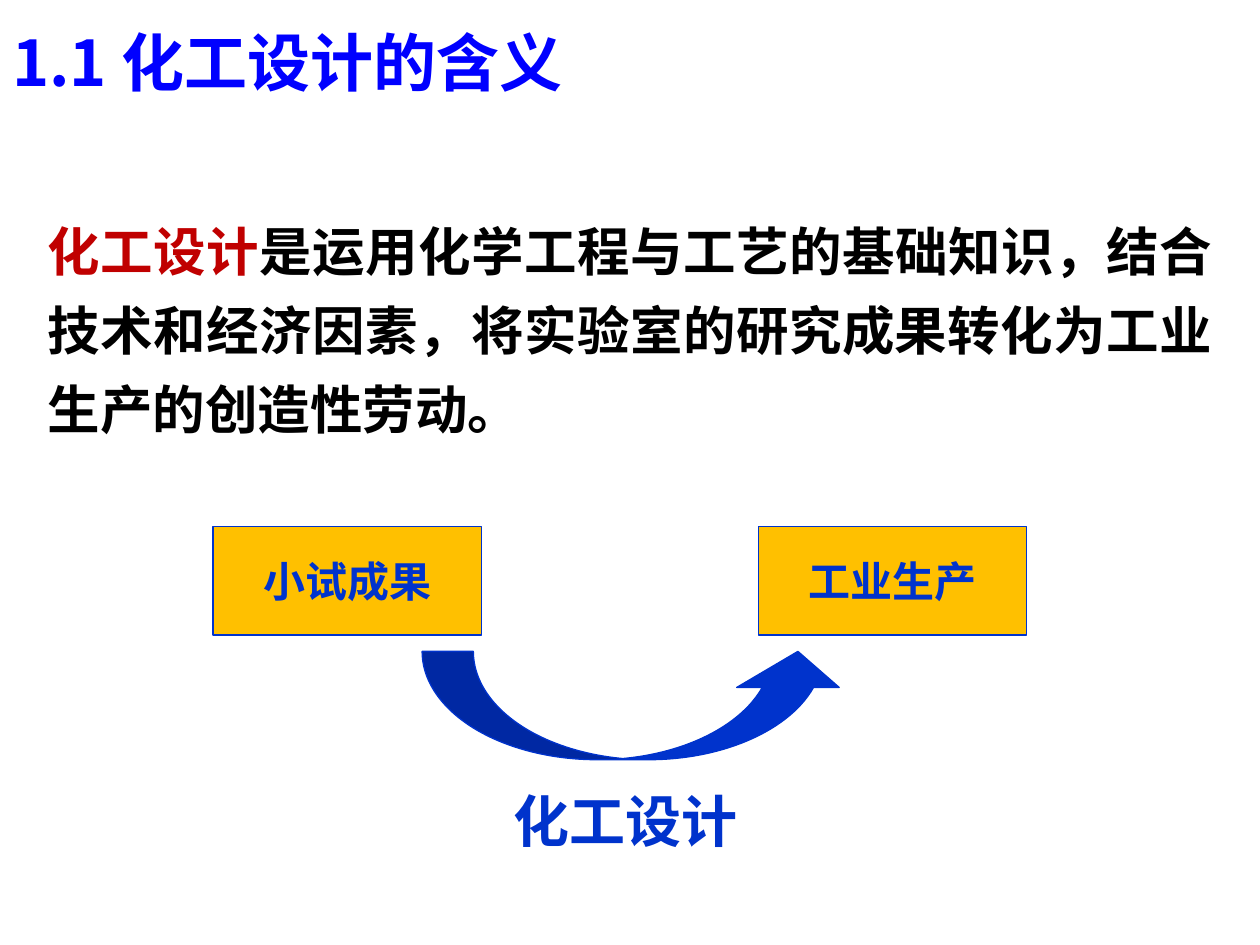
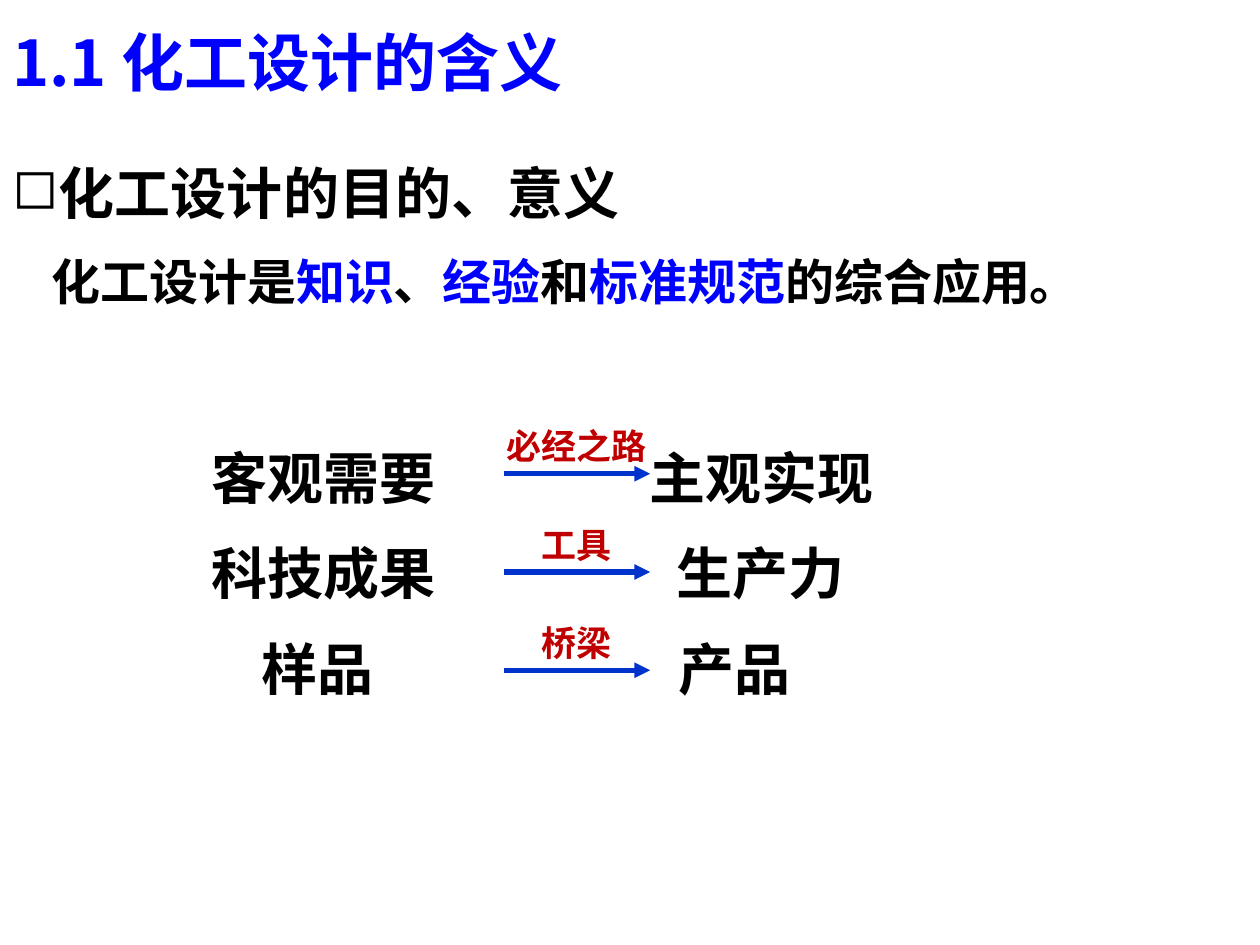
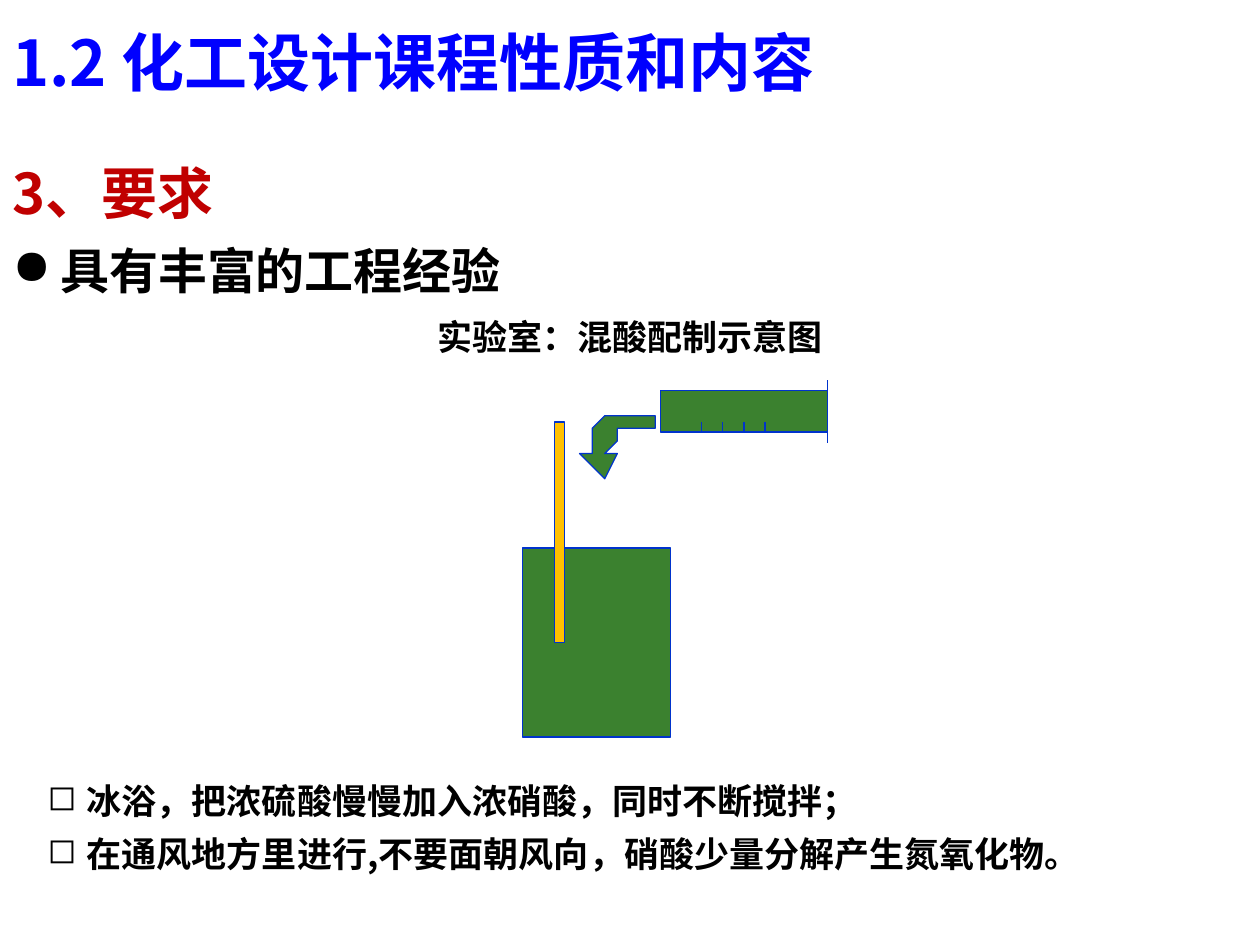
import pptx
import pptx.util
import pptx.dml.color
import pptx.enum.shapes
import pptx.enum.text
import pptx.oxml.xmlchemy

Pt = pptx.util.Pt
RGB = pptx.dml.color.RGBColor
KIND = pptx.enum.shapes.MSO_SHAPE
LINE = pptx.enum.shapes.MSO_CONNECTOR.STRAIGHT
ALIGN = pptx.enum.text.PP_ALIGN
MIDDLE = pptx.enum.text.MSO_ANCHOR.MIDDLE
NODE = pptx.oxml.xmlchemy.OxmlElement

# Shared style
FONT = "Noto Sans CJK SC"
BLACK = RGB(0, 0, 0)
BLUE = RGB(0, 0, 255)
NAVY = RGB(0, 0x33, 0xCC)
RED = RGB(0xC0, 0, 0)
GOLD = RGB(0xFF, 0xC0, 0)
GREEN = RGB(0x3B, 0x81, 0x2F)
TIGHT, LOOSE = 1.21, 1.51  # line pitch as a share of the text size

deck = pptx.Presentation()
deck.slide_width = pptx.util.Inches(10)
deck.slide_height = pptx.util.Inches(7.5)
UNIT = deck.slide_width // 100  # grid of 100 columns by 75 rows


def add(slide, place, kind=None, fill=None, pen=0.75):
    """Put a text box, a line or a filled shape on the grid."""
    x, y, w, h = [round(n * UNIT) for n in place]
    if kind is None:
        item = slide.shapes.add_textbox(x, y, w, h)
        item.text_frame.word_wrap = True
        return item.text_frame
    if kind is LINE:
        item = slide.shapes.add_connector(LINE, x, y, x + w, y + h)
        item._element.spPr.append(NODE("a:effectLst"))
    else:
        item = slide.shapes.add_shape(kind, x, y, w, h)
        item.shadow.inherit = False
        item.fill.solid()
        item.fill.fore_color.rgb = fill
    item.line.color.rgb = NAVY
    item.line.width = Pt(pen)
    return item


def text(frame, runs, size=20, color=BLACK, align=ALIGN.LEFT, pitch=TIGHT,
         before=0, left=0, bullet=None, tabs=()):
    """Write one paragraph; runs is a string or (string, colour) pairs."""
    para = frame.paragraphs[0]
    if para.runs:
        para = frame.add_paragraph()
        para.space_before = Pt(before)
    para.alignment = align
    if pitch:
        para.line_spacing = Pt(round(size * pitch, 1))
    props = para._p.get_or_add_pPr()
    if left:
        props.set("marL", str(round(left * UNIT)))
    if bullet:
        props.set("indent", str(-round(left * UNIT)))
        mark = NODE("a:buChar")
        mark.set("char", bullet)
        props.append(mark)
    if tabs:
        stops = NODE("a:tabLst")
        for spot in tabs:
            stop = NODE("a:tab")
            stop.set("pos", str(round(spot * UNIT)))
            stop.set("algn", "l")
            stops.append(stop)
        props.append(stops)
    for words, ink in [(runs, color)] if isinstance(runs, str) else runs:
        run = para.add_run()
        run.text = words
        run.font.size = Pt(size)
        run.font.bold = True
        run.font.color.rgb = ink
        run.font.name = FONT
        east = NODE("a:ea")
        east.set("typeface", FONT)
        run._r.get_or_add_rPr().append(east)


# Slides and their titles
pages = []
for title in ("1.1 化工设计的含义", "1.1 化工设计的含义", "1.2 化工设计课程性质和内容"):
    page = deck.slides.add_slide(deck.slide_layouts[6])
    text(add(page, (0, 1.3, 100, 7.9)), title, size=36, color=BLUE)
    pages.append(page)
sense, aim, course = pages

# Slide 1: definition
text(add(sense, (2.8, 15.6, 94.5, 22)),
     [("化工设计", RED),
      ("是运用化学工程与工艺的基础知识，结合技术和经济因素，"
       "将实验室的研究成果转化为工业生产的创造性劳动。", BLACK)],
     size=30, align=ALIGN.JUSTIFY, pitch=LOOSE)

# Slide 1: from trial to production
swoop = add(sense, (33.5, 51.7, 33.9, 8.6), KIND.CURVED_UP_ARROW, NAVY)
for i, share in enumerate((0.473, 0.947, 0.333)):
    swoop.adjustments[i] = share
for x, label in ((16.9, "小试成果"), (60.2, "工业生产")):
    frame = add(sense, (x, 41.8, 21.3, 8.6), KIND.RECTANGLE, GOLD).text_frame
    frame.word_wrap = False
    frame.vertical_anchor = MIDDLE
    text(frame, label, size=24, color=NAVY, align=ALIGN.CENTER, pitch=None)
text(add(sense, (39.8, 61.9, 21.3, 6.3)), "化工设计", size=32, color=NAVY)

# Slide 2: purpose
frame = add(aim, (0, 10.7, 98.8, 13.8))
text(frame, "化工设计的目的、意义", size=32, align=ALIGN.JUSTIFY, pitch=LOOSE,
     left=2.8, bullet="◻")
text(frame, [("化工设计是", BLACK), ("知识", BLUE), ("、", BLACK),
             ("经验", BLUE), ("和", BLACK), ("标准规范", BLUE),
             ("的综合应用。", BLACK)],
     size=28, pitch=1.73, left=3.1)

# Slide 2: three pairs joined by arrows
frame = add(aim, (15.8, 33.3, 65.8, 26.9))
for pair, tabs in (("客观需要\t主观实现", [34.8]),
                   ("科技成果\t生产力", [36.9]),
                   ("\t样品\t产品", [4, 37.1])):
    text(frame, pair, size=32, pitch=LOOSE, before=6.4, tabs=tabs)
for i, label in enumerate(("必经之路", "工具", "桥梁")):
    y = 37.6 + 7.8 * i
    arrow = add(aim, (40, y, 11.6, 0), LINE, pen=3)
    tip = NODE("a:tailEnd")
    tip.set("type", "triangle")
    arrow.line._get_or_add_ln().append(tip)
    text(add(aim, (39, y - 4.4, 13.5, 4.4)), label, color=RED,
         align=ALIGN.CENTER)

# Slide 3: demand
frame = add(course, (0, 10.7, 98.8, 14.2))
text(frame, "3、要求", size=32, color=RED, align=ALIGN.JUSTIFY, pitch=LOOSE)
text(frame, "具有丰富的工程经验", size=28, align=ALIGN.JUSTIFY, pitch=LOOSE,
     left=3.8, bullet="●")
text(add(course, (0, 24.5, 100, 4.4)), "实验室：混酸配制示意图",
     align=ALIGN.CENTER)

# Slide 3: beaker, measuring tube with its scale, stirring rod
add(course, (41.5, 43.5, 11.7, 15), KIND.RECTANGLE, GREEN)
add(course, (52.4, 31, 13.3, 3.3), KIND.RECTANGLE, GREEN)
add(course, (65.7, 30.2, 0, 5), LINE)
for i in range(4):
    add(course, (55.7 + 1.67 * i, 33.5, 0, 0.8), LINE)
add(course, (44, 33.5, 0.8, 17.5), KIND.RECTANGLE, GOLD)

# Slide 3: bent arrow of pouring acid, its bends sampled from Bezier curves
outer = ((46.6, 35.5), (46.6, 33.9), (47.9, 32.7), (49.4, 32.7))
inner = ((49.4, 34.2), (49, 34.2), (48.5, 34.8), (48.5, 35.5))
bends = []
for curve in (outer, inner):
    bend = []
    for step in range(13):
        t = step / 12
        shares = ((1 - t) ** 3, 3 * t * (1 - t) ** 2, 3 * t * t * (1 - t), t ** 3)
        bend.append(tuple(sum(s * p[axis] for s, p in zip(shares, curve))
                          for axis in (0, 1)))
    bends.append(bend)
spots = [(45.7, 36.2), (46.6, 36.2), *bends[0], (52.4, 32.7), (52.4, 34.2),
         *bends[1], (48.5, 36.2), (49.4, 36.2)]
build = course.shapes.build_freeform(47.6, 37.7, scale=UNIT)
build.add_line_segments(spots, close=True)
flow = build.convert_to_shape()
flow.shadow.inherit = False
flow.fill.solid()
flow.fill.fore_color.rgb = GREEN
flow.line.color.rgb = NAVY
flow.line.width = Pt(0.75)

# Slide 3: notes on safety
frame = add(course, (2.8, 60.5, 94.5, 9))
for note in ("冰浴，把浓硫酸慢慢加入浓硝酸，同时不断搅拌；",
             "在通风地方里进行,不要面朝风向，硝酸少量分解产生氮氧化物。"):
    text(frame, note, align=ALIGN.JUSTIFY, pitch=LOOSE, left=3.1, bullet="◻")

deck.save("out.pptx")
